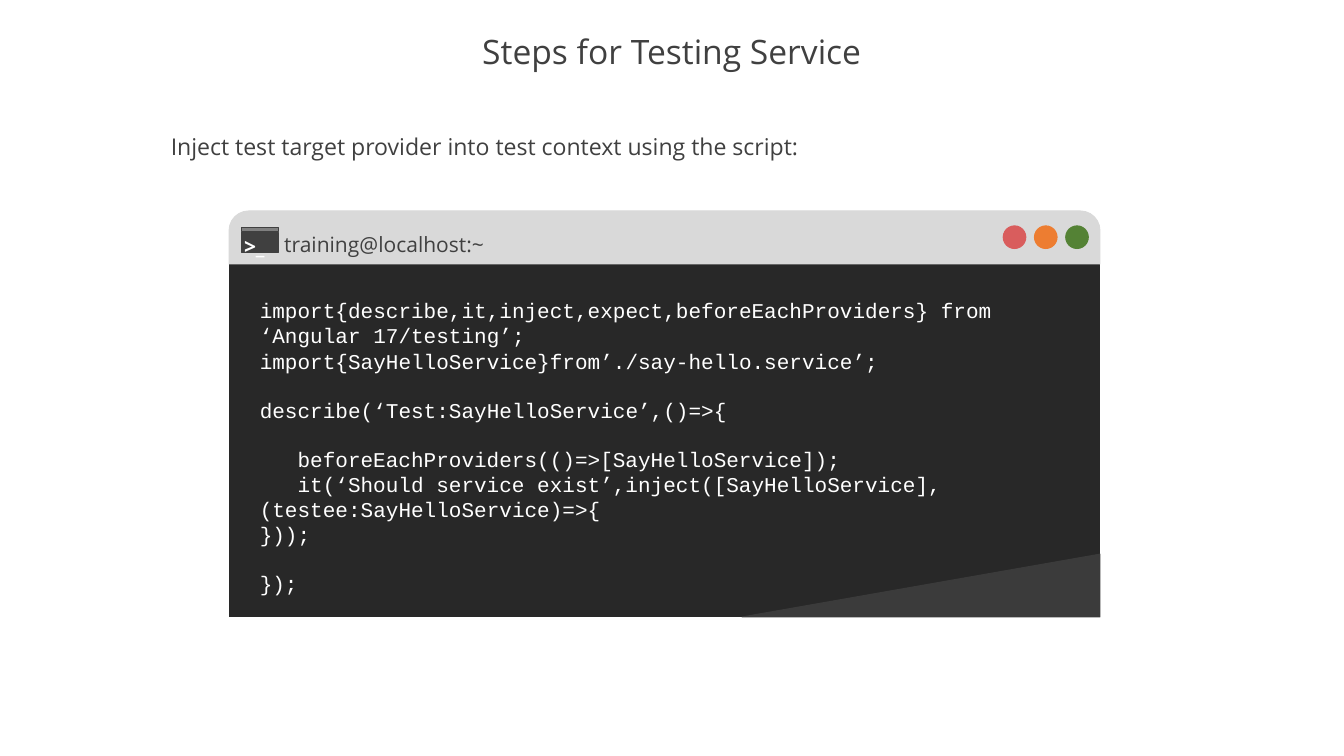
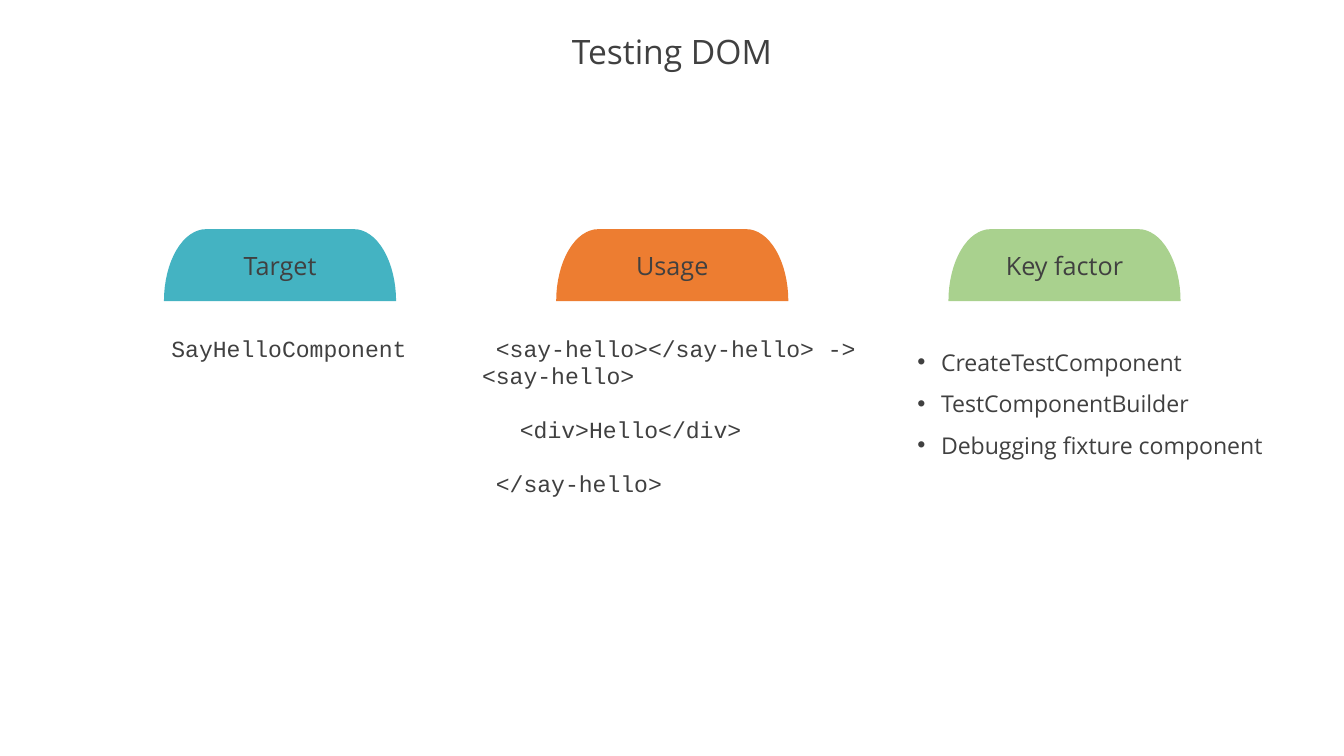
from math import cos, pi, sin

from lxml import etree
from pptx import Presentation
from pptx.dml.color import RGBColor
from pptx.enum.shapes import MSO_SHAPE
from pptx.enum.text import MSO_ANCHOR, PP_ALIGN
from pptx.oxml.ns import qn
from pptx.util import Cm, Pt

RECTANGLE = MSO_SHAPE.RECTANGLE
ROUND_TOP = MSO_SHAPE.ROUND_2_SAME_RECTANGLE
OVAL = MSO_SHAPE.OVAL
MIDDLE = MSO_ANCHOR.MIDDLE
CENTER = PP_ALIGN.CENTER

SANS, MONO = "Open Sans", "Courier New"
INK, WHITE, ORANGE = "404040", "FFFFFF", "ED7D31"
BODY_DARK, CORNER_GREY, BAR_GREY, STRIP_GREY = "282828", "3B3B3B", "D9D9D9", "808080"
SLIDE_W, SLIDE_H = 45.16, 25.4

SERVICE_TITLE = "Steps for Testing Service"
SERVICE_INTRO = "Inject test target provider into test context using the script:"
WINDOW_TITLE = "training@localhost:~"
WINDOW_BUTTONS = ["D95D5D", ORANGE, "548235"]
CODE_GAP = 22.7
SERVICE_CODE = [
    ("import{describe,it,inject,expect,beforeEachProviders} from ‘Angular 17/testing’;", 0),
    ("import{SayHelloService}from’./say-hello.service’;", 0),
    ("describe(‘Test:SayHelloService’,()=>{", CODE_GAP),
    ("\tbeforeEachProviders(()=>[SayHelloService]);", CODE_GAP),
    ("\tit(‘Should service exist’,inject([SayHelloService],(testee:SayHelloService)=>{", 0),
    ("}));", 0),
    ("});", CODE_GAP),
]

DOM_TITLE = "Testing DOM"
DOM_HEADINGS = [("Target", "44B3C2"), ("Usage", ORANGE), ("Key factor", "A9D18E")]
TARGET_CODE = [("SayHelloComponent", 0)]
USAGE_GAP = 24.9
USAGE_CODE = [
    (" <say-hello></say-hello> -> <say-hello>", 0),
    ("\t<div>Hello</div>", USAGE_GAP),
    (" </say-hello>", USAGE_GAP),
]
KEY_FACTORS = [
    ("CreateTestComponent", 0),
    ("TestComponentBuilder", 0),
    ("Debugging fixture component", 0),
]


def color(value):
    return RGBColor.from_string(value)


def write(paragraph, text, size, font=SANS, ink=INK, bold=False):
    run = paragraph.add_run()
    run.text = text
    run.font.size = Pt(size)
    run.font.name = font
    run.font.bold = bold
    run.font.color.rgb = color(ink)


def add_bullet(paragraph):
    properties = paragraph._p.get_or_add_pPr()
    properties.set("marL", str(Cm(0.79)))
    properties.set("indent", str(-Cm(0.79)))
    etree.SubElement(properties, qn("a:buFont")).set("typeface", "Arial")
    etree.SubElement(properties, qn("a:buChar")).set("char", "•")
    paragraph.line_spacing = 1.5


def add_text(slide, box, lines, size, font=SANS, ink=INK, bold=False, wrap=True, bullets=False):
    frame = slide.shapes.add_textbox(*map(Cm, box)).text_frame
    frame.word_wrap = wrap
    for index, (text, gap) in enumerate(lines):
        paragraph = frame.add_paragraph() if index else frame.paragraphs[0]
        if bullets:
            add_bullet(paragraph)
        if gap:
            paragraph.space_before = Pt(gap)
        write(paragraph, text, size, font, ink, bold)


def paint(shape, fill, line=None):
    shape.shadow.inherit = False
    shape.fill.solid()
    shape.fill.fore_color.rgb = color(fill)
    if line:
        shape.line.color.rgb = color(line)
        shape.line.width = Pt(1)
    else:
        shape.line.fill.background()
    return shape


def add_block(slide, preset, box, fill, line=None):
    return paint(slide.shapes.add_shape(preset, *map(Cm, box)), fill, line or fill)


def add_outline(slide, points, fill, line=None):
    corners = [(Cm(x), Cm(y)) for x, y in points]
    builder = slide.shapes.build_freeform(*corners[0])
    builder.add_line_segments(corners[1:], close=True)
    return paint(builder.convert_to_shape(), fill, line)


def add_titled_slide(deck, text):
    slide = deck.slides.add_slide(deck.slide_layouts[5])
    title = slide.shapes.title
    title.left, title.top, title.width, title.height = map(Cm, (0, 0.89, SLIDE_W, 1.85))
    title.text_frame.vertical_anchor = MIDDLE
    paragraph = title.text_frame.paragraphs[0]
    paragraph.alignment = CENTER
    paragraph.line_spacing = 0.9
    write(paragraph, text, 32)
    return slide


def add_terminal(slide):
    left, width = 7.7, 29.26
    bar_top, bar_height = 7.09, 1.78
    body_top, bottom = 8.89, 20.73
    right = left + width
    add_block(slide, RECTANGLE, (left, body_top, width, bottom - body_top), BODY_DARK)
    add_outline(slide, [(right, 18.62), (right, bottom), (24.94, bottom)],
                CORNER_GREY, CORNER_GREY)
    bar = add_block(slide, ROUND_TOP, (left, bar_top, width, bar_height), BAR_GREY)
    bar.adjustments[0] = 0.368
    bar.adjustments[1] = 0
    for index, fill in enumerate(WINDOW_BUTTONS):
        add_block(slide, OVAL, (33.71 + index * 1.05, 7.59, 0.76, 0.76), fill)
    add_text(slide, (9.3, 7.65, 7.26, 1.12), [(WINDOW_TITLE, 0)], 20, wrap=False)
    add_block(slide, RECTANGLE, (8.13, 7.8, 1.22, 0.69), INK)
    add_block(slide, RECTANGLE, (8.13, 7.65, 1.22, 0.13), STRIP_GREY, INK)
    add_text(slide, (7.95, 7.72, 1.22, 1.12), [(">_", 0)], 20, ink=WHITE, bold=True, wrap=False)
    add_text(slide, (8.48, 9.88, 27.03, 10.52), SERVICE_CODE, 20, MONO, WHITE)


def add_dome(slide, left, heading, fill):
    top, width, height, curve, steps = 7.7, 7.8, 2.42, 1.42, 16
    angles = [pi / 2 * step / steps for step in range(steps + 1)]
    rise = [(left + curve * (1 - cos(a)), top + height * (1 - sin(a))) for a in angles]
    fall = [(2 * left + width - x, y) for x, y in reversed(rise)]
    dome = add_outline(slide, rise + fall, fill)
    dome.text_frame.vertical_anchor = MIDDLE
    paragraph = dome.text_frame.paragraphs[0]
    paragraph.alignment = CENTER
    write(paragraph, heading, 24)


def build_service_slide(deck):
    slide = add_titled_slide(deck, SERVICE_TITLE)
    add_text(slide, (5.49, 4.32, 30.05, 1.19), [(SERVICE_INTRO, 0)], 22)
    add_terminal(slide)


def build_dom_slide(deck):
    slide = add_titled_slide(deck, DOM_TITLE)
    for index, (heading, fill) in enumerate(DOM_HEADINGS):
        add_dome(slide, 5.51 + index * 13.18, heading, fill)
    top = 11.1
    add_text(slide, (5.51, top, 8.53, 1.19), TARGET_CODE, 22, MONO, wrap=False)
    add_text(slide, (15.95, top, 13.51, 6.83), USAGE_CODE, 22, MONO)
    add_text(slide, (30.58, top, 12.98, 4.5), KEY_FACTORS, 22, bullets=True)


def main():
    deck = Presentation()
    deck.slide_width, deck.slide_height = Cm(SLIDE_W), Cm(SLIDE_H)
    build_service_slide(deck)
    build_dom_slide(deck)
    deck.save("out.pptx")


if __name__ == "__main__":
    main()
